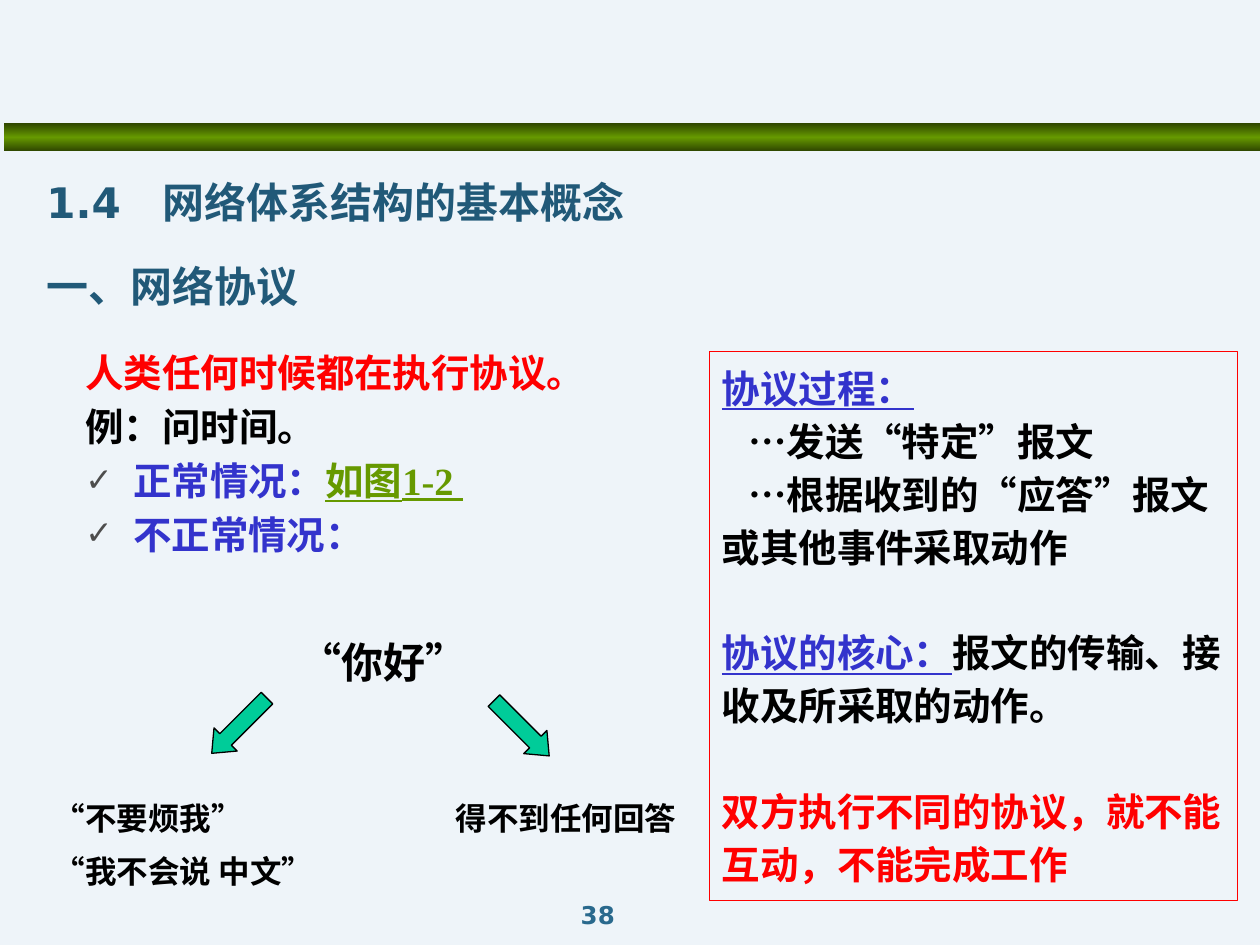
from copy import deepcopy

from lxml.etree import SubElement
from pptx import Presentation
from pptx.dml.color import RGBColor
from pptx.enum.shapes import MSO_SHAPE
from pptx.enum.text import MSO_ANCHOR, PP_ALIGN
from pptx.oxml.ns import qn
from pptx.util import Inches, Pt

BACKGROUND = RGBColor(0xEE, 0xF4, 0xF9)
DARK_GREEN = RGBColor(0x2F, 0x47, 0x00)
GREEN = RGBColor(0x66, 0x99, 0x00)
TEAL = RGBColor(0x21, 0x59, 0x78)
PAGE_BLUE = RGBColor(0x29, 0x69, 0x8D)
BLUE = RGBColor(0x33, 0x33, 0xCC)
RED = RGBColor(0xFF, 0x00, 0x00)
BLACK = RGBColor(0x00, 0x00, 0x00)
MINT = RGBColor(0x00, 0xCC, 0x99)
CJK = "Noto Sans CJK SC"
SANS = "DejaVu Sans"
SERIF = "Times New Roman"


class SlideBuilder:
    def __init__(self, slide):
        self.s = slide
        fill = slide.background.fill
        fill.solid()
        fill.fore_color.rgb = BACKGROUND

    def bar(self, x, y, w, h):
        sp = self.s.shapes.add_shape(
            MSO_SHAPE.RECTANGLE, Inches(x), Inches(y), Inches(w), Inches(h))
        sp.shadow.inherit = False
        sp.line.fill.background()
        sp.fill.gradient()
        sp.fill.gradient_angle = 90
        edge, middle = sp.fill.gradient_stops
        edge.color.rgb, middle.color.rgb = DARK_GREEN, GREEN
        middle.position = 0.5
        stops = sp._element.spPr.find(".//" + qn("a:gsLst"))
        last = deepcopy(stops[0])
        last.set("pos", "100000")
        stops.append(last)

    def arrow(self, x, y, rotation):
        sp = self.s.shapes.add_shape(
            MSO_SHAPE.DOWN_ARROW, Inches(x), Inches(y), Inches(0.26), Inches(0.62))
        sp.shadow.inherit = False
        sp.rotation = rotation
        sp.adjustments[0], sp.adjustments[1] = 0.5, 0.6
        sp.fill.solid()
        sp.fill.fore_color.rgb = MINT
        sp.line.color.rgb = BLACK
        sp.line.width = Pt(0.75)

    def text(self, x, y, w, h, paragraphs, size, font=CJK, gap=0, **layout):
        sp = self.s.shapes.add_textbox(Inches(x), Inches(y), Inches(w), Inches(h))
        self.fill_text(sp.text_frame, paragraphs, size, font, gap, **layout)

    def frame(self, x, y, w, h, paragraphs, size, **layout):
        sp = self.s.shapes.add_shape(
            MSO_SHAPE.RECTANGLE, Inches(x), Inches(y), Inches(w), Inches(h))
        sp.shadow.inherit = False
        sp.fill.background()
        sp.line.color.rgb = RED
        sp.line.width = Pt(0.75)
        self.fill_text(sp.text_frame, paragraphs, size, **layout)

    def fill_text(self, tf, paragraphs, size, font=CJK, gap=0, spacing=None,
                  align=PP_ALIGN.LEFT):
        """Each paragraph is (runs, options); each run is (text, colour, underline)."""
        tf.word_wrap = True
        tf.vertical_anchor = MSO_ANCHOR.TOP
        for i, (runs, options) in enumerate(paragraphs):
            p = tf.paragraphs[0] if i == 0 else tf.add_paragraph()
            p.alignment = align
            if spacing:
                p.line_spacing = spacing
            if i:
                p.space_before = Pt(options.get("before", gap))
            if "indent" in options:
                p._p.get_or_add_pPr().set("indent", str(Inches(options["indent"])))
            if options.get("check"):
                self.check_bullet(p)
            for words, color, underline in runs:
                r = p.add_run()
                r.text = words
                r.font.size, r.font.name, r.font.bold = Pt(size), font, True
                r.font.color.rgb = color
                r.font.underline = underline
                SubElement(r._r.rPr, qn("a:ea")).set("typeface", CJK)

    def check_bullet(self, p):
        pPr = p._p.get_or_add_pPr()
        pPr.set("marL", str(Inches(0.38)))
        pPr.set("indent", str(Inches(-0.38)))
        color = SubElement(pPr, qn("a:buClr"))
        SubElement(color, qn("a:srgbClr")).set("val", "4D4D4D")
        SubElement(pPr, qn("a:buSzPct")).set("val", "85000")
        SubElement(pPr, qn("a:buFont")).set("typeface", SANS)
        SubElement(pPr, qn("a:buChar")).set("char", "✓")


def para(words, color=BLACK, **options):
    return [(words, color, False)], options


def main():
    prs = Presentation()
    prs.slide_width, prs.slide_height = Inches(10), Inches(7.5)
    b = SlideBuilder(prs.slides.add_slide(prs.slide_layouts[6]))

    b.bar(0.03, 0.98, 9.97, 0.22)
    b.text(0.27, 1.15, 9.23, 1.51, [
        para("1.4　网络体系结构的基本概念", TEAL),
        para("一、网络协议", TEAL),
    ], 24, SANS, gap=4.8, spacing=1.5)

    b.text(0.58, 2.72, 4.83, 2.25, [
        para("人类任何时候都在执行协议。", RED),
        para("例：问时间。"),
        ([("正常情况：", BLUE, False), ("如图1-2 ", GREEN, True)], {"check": True}),
        para("不正常情况：", BLUE, check=True),
    ], 22, SERIF, gap=4.4)

    b.arrow(1.77, 5.45, 45)
    b.arrow(4.01, 5.47, 315)
    b.text(0.33, 6.29, 2.96, 0.86,
           [para("“不要烦我”"), para("“我不会说 中文”")], 18, gap=9)
    b.text(3.52, 6.29, 2.11, 0.4, [para("得不到任何回答")], 18)
    b.text(1.8, 5, 2.88, 0.5, [para("“你好”", indent=0.48)], 24)

    b.frame(5.63, 2.79, 4.19, 4.36, [
        ([("协议过程：", BLUE, True)], {}),
        para("…发送“特定”报文", indent=0.21),
        para("…根据收到的“应答”报文或其他事件采取动作", indent=0.21),
        ([("协议的核心：", BLUE, True),
          ("报文的传输、接收及所采取的动作。", BLACK, False)], {"before": 30}),
        para("双方执行不同的协议，就不能互动，不能完成工作", RED, before=30),
    ], 22, spacing=1.15)

    b.text(3.58, 7.09, 2.33, 0.32, [para("38", PAGE_BLUE)], 14, SANS,
           align=PP_ALIGN.CENTER)
    prs.save("out.pptx")


if __name__ == "__main__":
    main()
